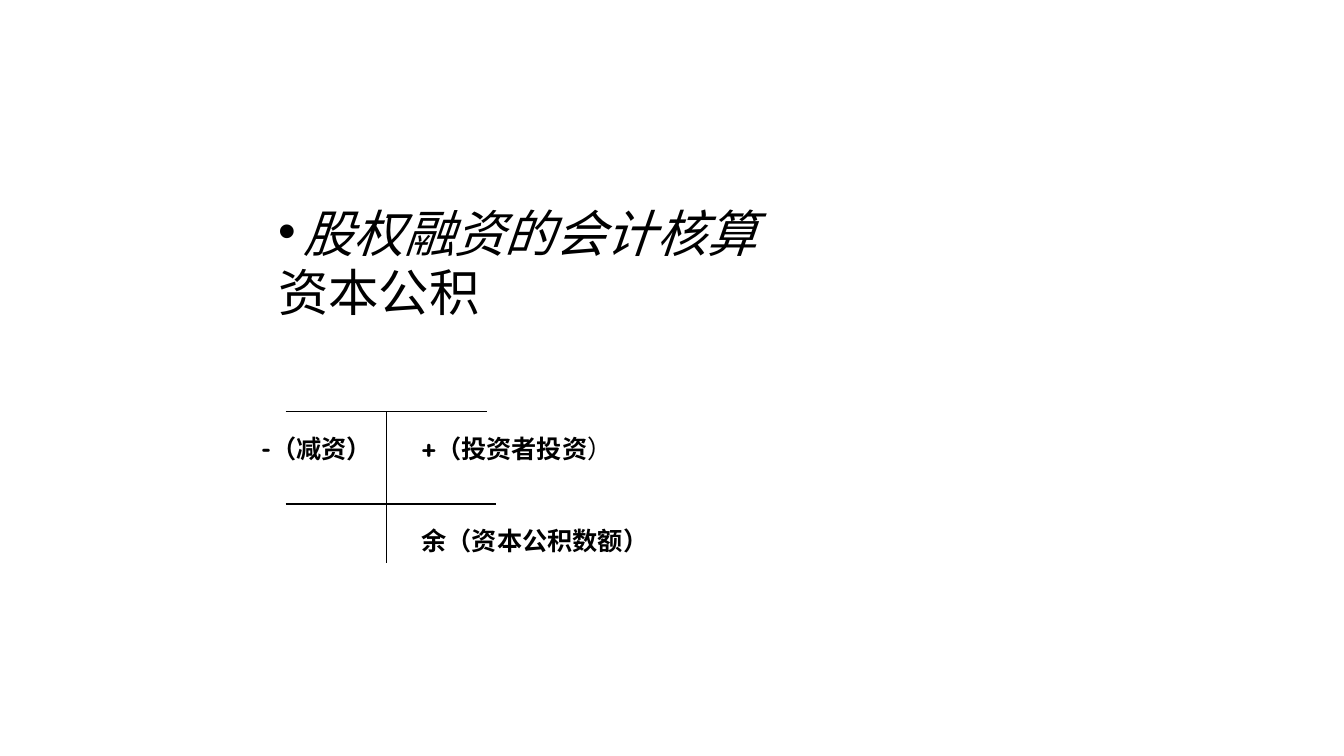
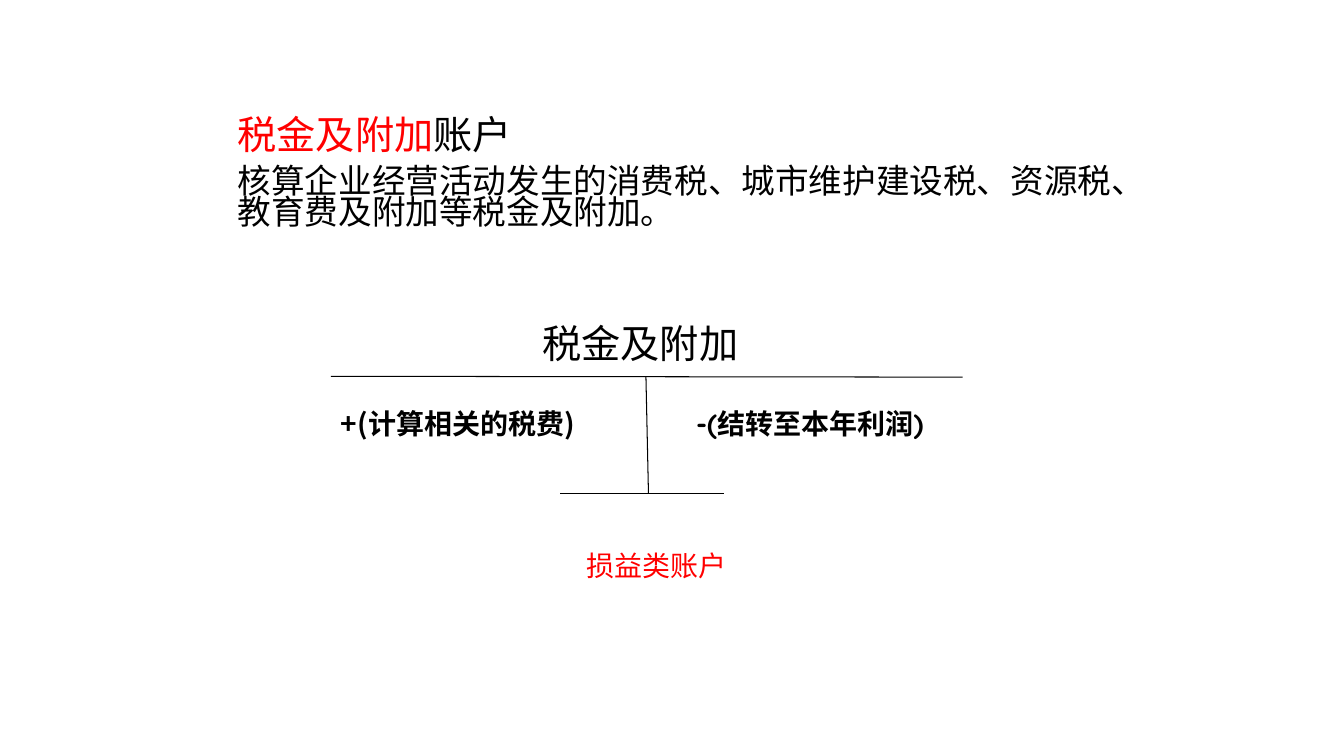
import pptx
import pptx.dml.color
import pptx.enum.shapes
import pptx.enum.text
import pptx.oxml.ns
import pptx.util
from lxml import etree

COLUMNS, ROWS = 160, 90
COLORS = {"ink": "000000", "accent": "FF0000"}
CJK_FONT = "Noto Sans CJK SC"
LABEL_FONT = "Quicksand"


def add_element(parent, tag, **attributes):
    return etree.SubElement(parent, pptx.oxml.ns.qn(tag), attributes)


def add_span(para, text, size=18, font=CJK_FONT, color="ink", bold=False, italic=False):
    span = para.add_run()
    span.text = text
    span.font.size = pptx.util.Pt(size)
    span.font.bold = bold
    span.font.italic = italic
    span.font.color.rgb = pptx.dml.color.RGBColor.from_string(COLORS[color])
    span.font.name = font
    add_element(span.font._element, "a:ea", typeface=CJK_FONT)


class Deck:
    """Holds the style and the current page; lengths are grid columns and rows."""

    def __init__(self):
        self.show = pptx.Presentation()
        self.show.slide_width = pptx.util.Inches(13.333)
        self.show.slide_height = pptx.util.Inches(7.5)
        self.page = None

    def x(self, columns):
        return round(self.show.slide_width * columns / COLUMNS)

    def y(self, rows):
        return round(self.show.slide_height * rows / ROWS)

    def add_page(self):
        self.page = self.show.slides.add_slide(self.show.slide_layouts[1])
        title = self.page.shapes.title._element
        title.getparent().remove(title)

    def body(self, left, top, width, height, paragraphs, indent=0):
        """Fill the body placeholder; each paragraph is (bullet, spans)."""
        box = self.page.placeholders[1]
        box.left, box.top = self.x(left), self.y(top)
        box.width, box.height = self.x(width), self.y(height)
        frame = box.text_frame
        frame.auto_size = pptx.enum.text.MSO_AUTO_SIZE.NONE
        for number, (bullet, spans) in enumerate(paragraphs):
            para = frame.add_paragraph() if number else frame.paragraphs[0]
            para.line_spacing = 0.77
            para.space_before = pptx.util.Pt(9 if number else 0)
            properties = para._p.get_or_add_pPr()
            properties.set("marL", str(self.x(indent)))
            properties.set("indent", str(-self.x(indent)))
            if bullet:
                add_element(properties, "a:buFont", typeface="Arial")
                add_element(properties, "a:buChar", char=bullet)
            else:
                add_element(properties, "a:buNone")
            for text, style in spans:
                add_span(para, text, **style)

    def label(self, left, top, width, height, *spans):
        box = self.page.shapes.add_textbox(
            self.x(left), self.y(top), self.x(width), self.y(height))
        box.text_frame.word_wrap = True
        for text, style in spans:
            add_span(box.text_frame.paragraphs[0], text, **style)

    def line(self, start, end):
        line = self.page.shapes.add_connector(
            pptx.enum.shapes.MSO_CONNECTOR.STRAIGHT,
            self.x(start[0]), self.y(start[1]), self.x(end[0]), self.y(end[1]))
        line.line.width = pptx.util.Pt(0.75)
        line.line.color.rgb = pptx.dml.color.RGBColor.from_string(COLORS["ink"])
        add_element(line._element.spPr, "a:effectLst")

    def account(self, head, stem, foot):
        """Draw a T-account from three (start, end) lines."""
        for start, end in (head, stem, foot):
            self.line(start, end)


def capital_reserve_page(deck):
    deck.add_page()
    heading = {"size": 36, "font": "Arial"}
    deck.body(31.9, 25, 106.4, 22, [
        ("•", [("股权融资的会计核算", {**heading, "italic": True})]),
        (None, [("资本公积", heading)]),
    ], indent=3)
    deck.account(((34, 49), (58, 49)), ((46, 49), (46, 67)), ((34, 60), (59, 60)))
    plain = {"font": LABEL_FONT}
    strong = {**plain, "bold": True}
    deck.label(49, 51, 42, 4.8, ("+（投资者投资", strong), ("）", plain))
    deck.label(29.9, 51, 23, 4.8, ("-（减资）", strong))
    deck.label(49, 62, 35, 4.8, ("余（资本公积数额）", strong))


def taxes_page(deck):
    deck.add_page()
    heading = {"size": 28}
    entry = {"size": 20, "bold": True}
    deck.body(27.1, 13.7, 108.7, 31.2, [
        (None, [("税金及附加", {**heading, "color": "accent"}), ("账户", heading)]),
        (None, [("核算企业经营活动发生的消费税、城市维护建设税、资源税、"
                 "教育费及附加等税金及附加。", {"size": 24})]),
    ])
    deck.label(63.4, 37.4, 37.8, 6.8, ("税金及附加", heading))
    deck.account(((39.4, 44.8), (114.6, 44.9)), ((76.9, 44.8), (77.2, 58.8)),
                 ((66.7, 58.8), (86.2, 58.8)))
    deck.label(39.4, 47.8, 34.9, 5.3, ("+(计算相关的税费)", entry))
    deck.label(81.7, 47.8, 45.6, 5.3, ("-(结转至本年利润)", {**entry, "font": LABEL_FONT}))
    deck.label(68.6, 64.7, 65, 5.3, ("损益类账户", {"size": 20, "color": "accent"}))


def main():
    deck = Deck()
    capital_reserve_page(deck)
    taxes_page(deck)
    deck.show.save("out.pptx")


if __name__ == "__main__":
    main()
